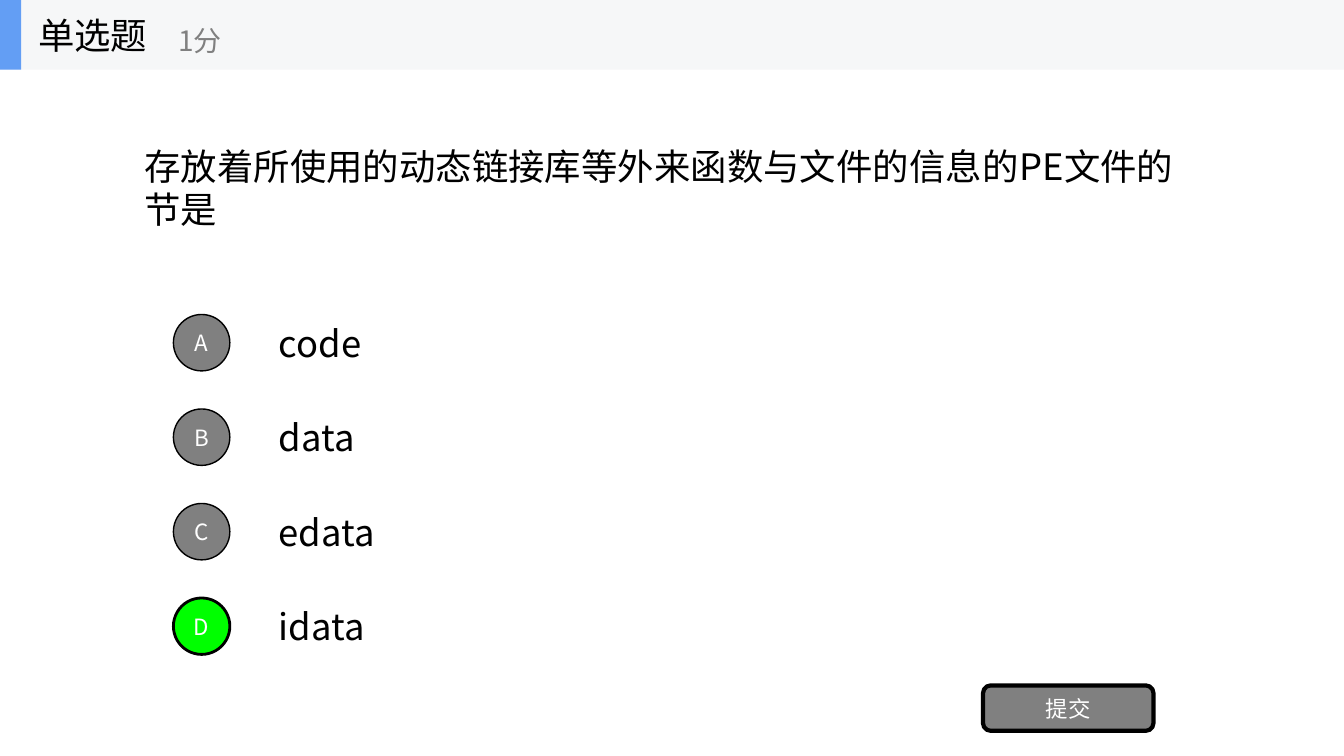
from lxml.etree import SubElement
from pptx import Presentation
from pptx.dml.color import RGBColor
from pptx.enum.shapes import MSO_SHAPE as Shape
from pptx.enum.text import MSO_ANCHOR as Anchor, PP_ALIGN as Align
from pptx.oxml.ns import qn
from pptx.util import Inches, Pt

THEME = {
    "font": "Noto Sans CJK SC",
    "black": "000000", "white": "FFFFFF", "gray": "808080",
    "correct": "00FF00", "band": "F6F7F8", "accent": "639EF4",
    "body": 26, "points": 20, "label": 16,
}

WIDTH, HEIGHT = 13.33, 7.5
COLUMN = WIDTH / 10         # ten columns across the slide
ROW = HEIGHT / 8            # one answer per row
HEADER = 0.69
ANSWERS_TOP = 3.05
ANSWER_HEIGHT = 0.7
BADGE = 0.56

presentation = Presentation()
presentation.slide_width, presentation.slide_height = Inches(WIDTH), Inches(HEIGHT)
slide = presentation.slides.add_slide(presentation.slide_layouts[6])


def write(shape, text, size, color, align=Align.LEFT):
    frame = shape.text_frame
    frame.word_wrap = True
    frame.vertical_anchor = Anchor.MIDDLE
    paragraph = frame.paragraphs[0]
    paragraph.text = text
    paragraph.alignment = align
    font = paragraph.font
    font.size = Pt(THEME[size])
    font.name = THEME["font"]
    font.color.rgb = RGBColor.from_string(THEME[color])
    # East Asian typeface for the Chinese characters
    defaults = paragraph._p.pPr.find(qn("a:defRPr"))
    SubElement(defaults, qn("a:ea"), typeface=THEME["font"])


def add_block(kind, box, fill, border=0, text=None):
    shape = slide.shapes.add_shape(kind, *map(Inches, box))
    shape.shadow.inherit = False
    shape.fill.solid()
    shape.fill.fore_color.rgb = RGBColor.from_string(THEME[fill])
    if border:
        shape.line.color.rgb = RGBColor.from_string(THEME["black"])
        shape.line.width = Pt(border)
    else:
        shape.line.fill.background()
    if text:
        shape.text_frame.margin_left = shape.text_frame.margin_right = 0
        write(shape, text, "label", "white", Align.CENTER)


# Header band with its accent
add_block(Shape.RECTANGLE, (0, 0, WIDTH, HEADER), "band")
add_block(Shape.RECTANGLE, (0, 0, 0.21, HEADER), "accent")

# Header texts, question and answers
answers = ["code", "data", "edata", "idata"]
texts = [
    ((0.28, 0, 2.08, HEADER), "单选题", "body", "black"),
    ((1.67, 0.12, 2.5, 0.56), "1分", "points", "gray"),
    ((COLUMN, HEADER, 8 * COLUMN, 2.34),
     "存放着所使用的动态链接库等外来函数与文件的信息的PE文件的节是", "body", "black"),
]
for index, answer in enumerate(answers):
    box = (2 * COLUMN, ANSWERS_TOP + index * ROW, 7 * COLUMN, ANSWER_HEIGHT)
    texts.append((box, answer, "body", "black"))
for box, text, size, color in texts:
    write(slide.shapes.add_textbox(*map(Inches, box)), text, size, color)

# Letter badges, centred on their answers
for index, letter in enumerate("ABCD"):
    fill, border = ("correct", 2) if letter == "D" else ("gray", 1)
    top = ANSWERS_TOP + index * ROW + (ANSWER_HEIGHT - BADGE) / 2
    add_block(Shape.OVAL, (1.72, top, BADGE, BADGE), fill, border, letter)

# Submit button
add_block(Shape.ROUNDED_RECTANGLE, (9.75, 6.8, 1.69, 0.45), "gray", 3, "提交")

presentation.save("out.pptx")
